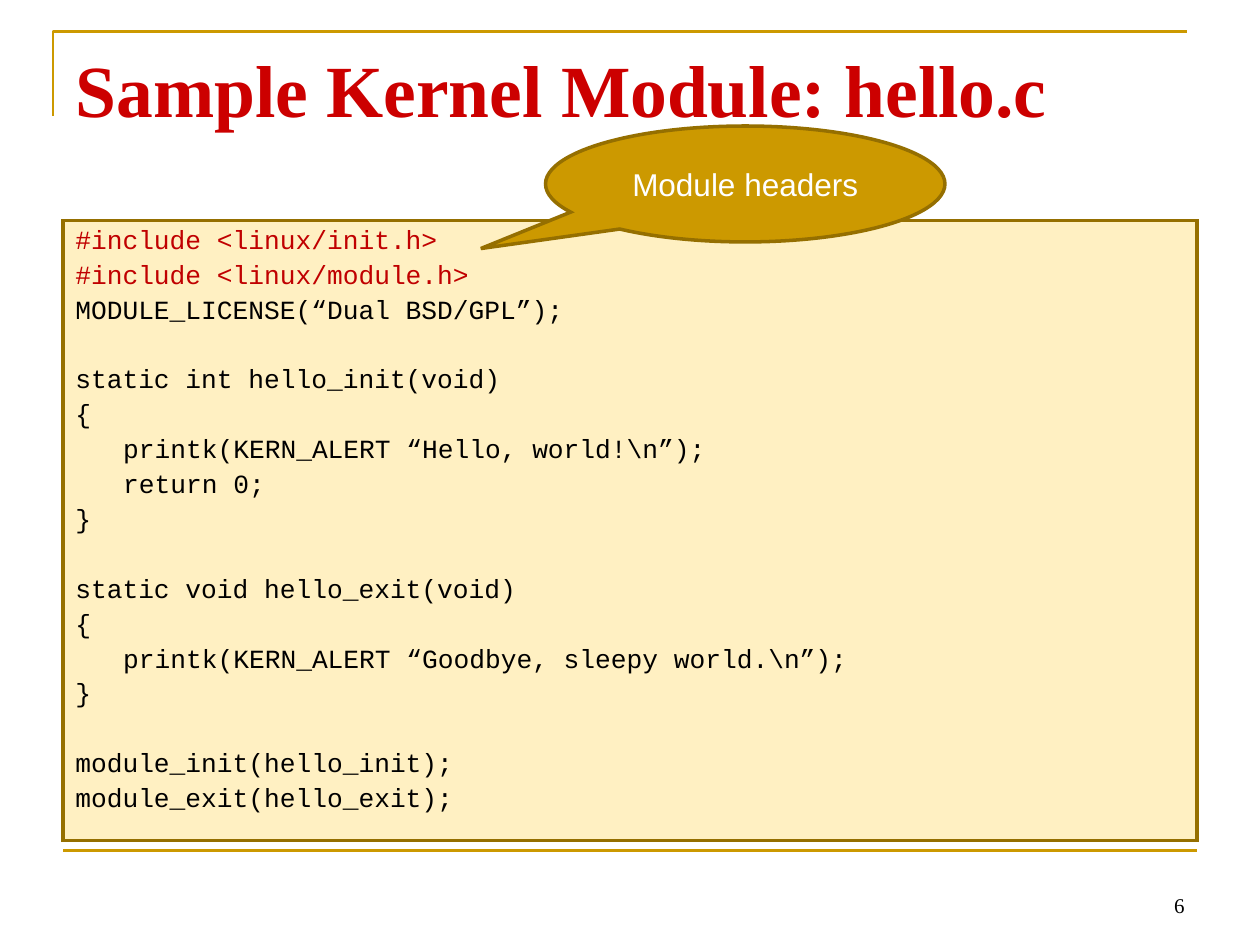
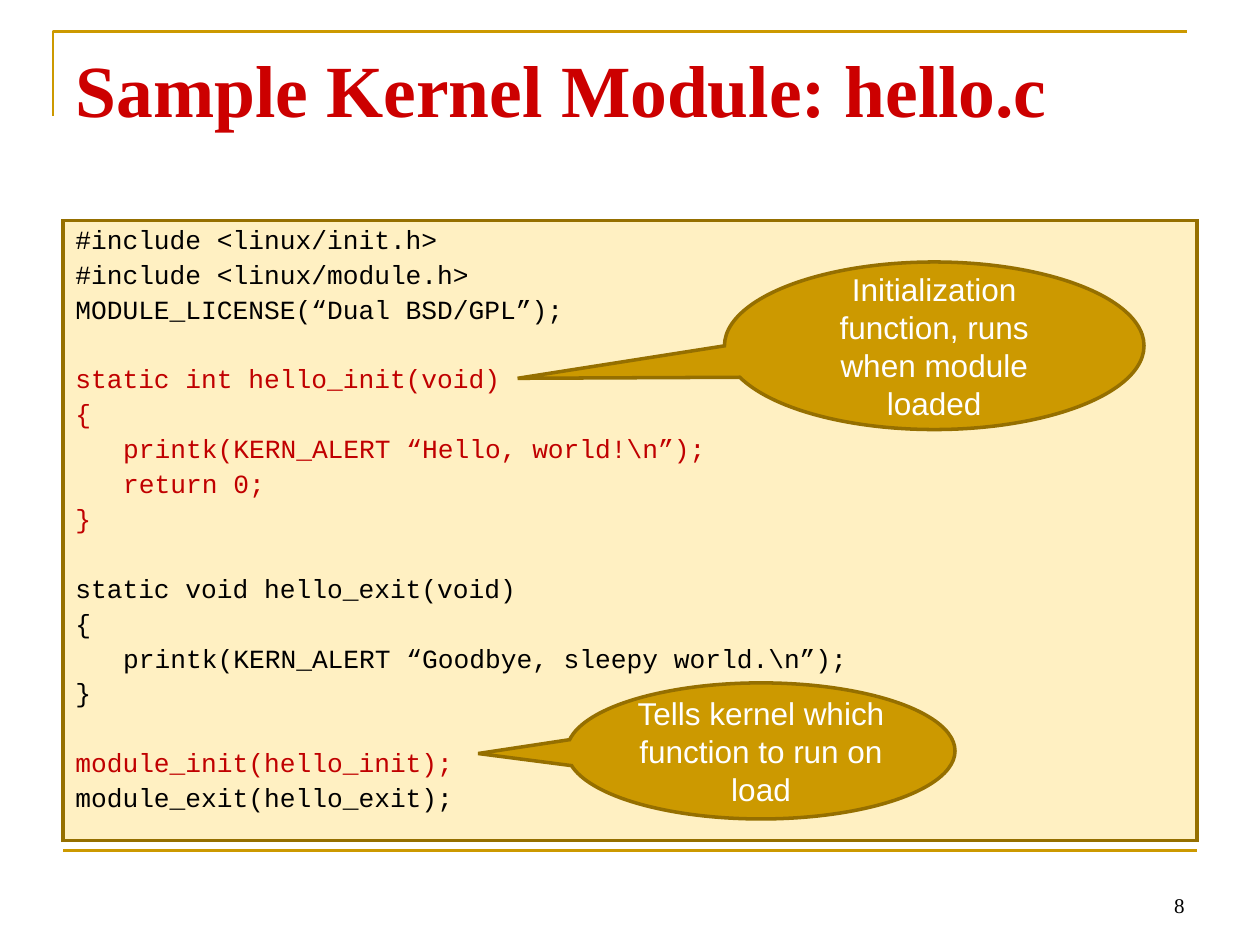
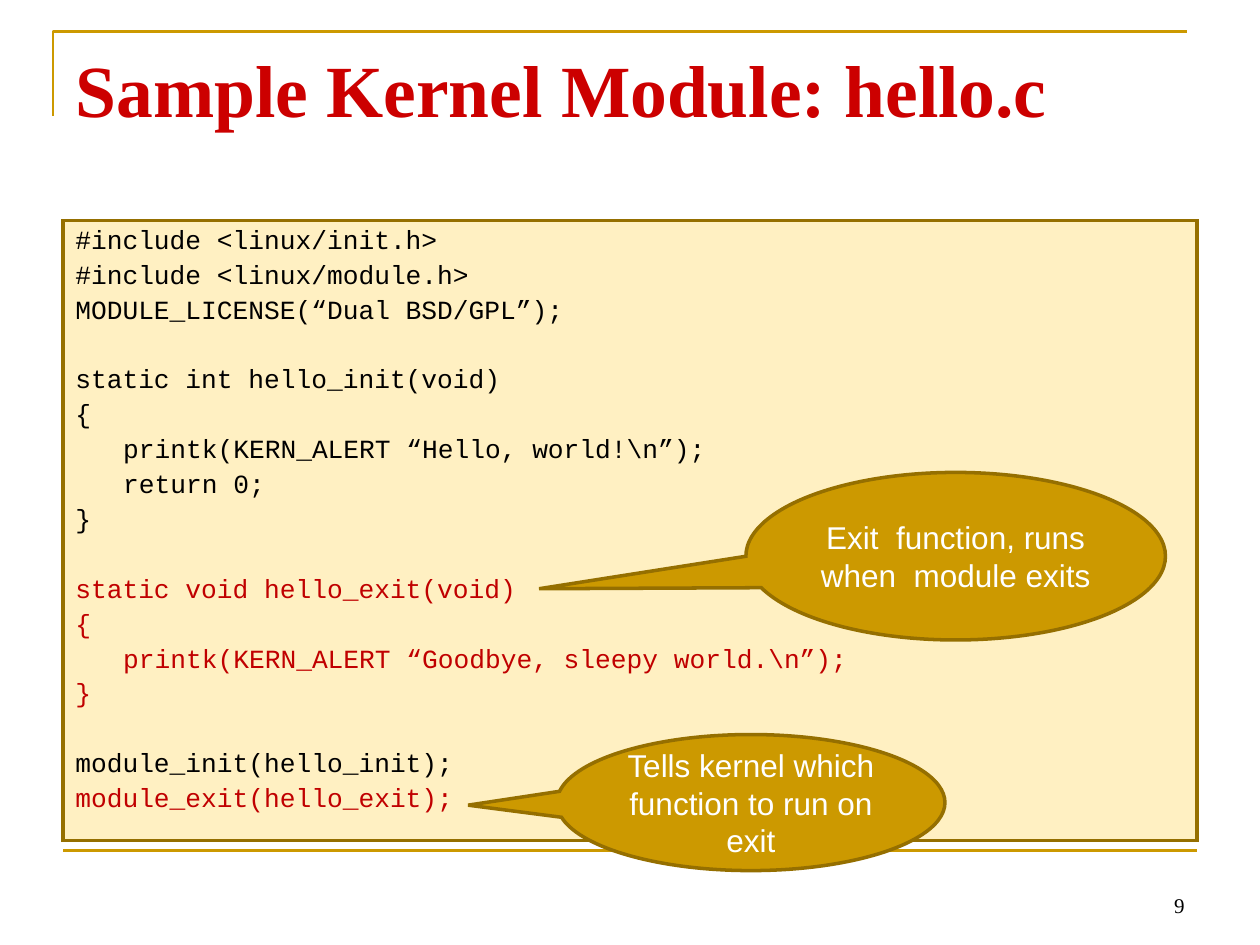
from pptx import Presentation
from pptx.dml.color import RGBColor
from pptx.enum import shapes, text
from pptx.oxml.ns import qn
from pptx.util import Inches, Pt
from lxml import etree

COLORS = {
    "gold": "CC9900",
    "edge": "956F00",
    "cream": "FFF0C2",
    "title": "CC0000",
    "mark": "C00000",
    "black": "000000",
    "white": "FFFFFF",
}
TITLE = "Sample Kernel Module: hello.c"
TAB = 0.38

# Blocks named in SPACED are set apart from the one before by a gap.
BLOCKS = {
    "headers": ["#include <linux/init.h>", "#include <linux/module.h>"],
    "license": ["MODULE_LICENSE(“Dual BSD/GPL”);"],
    "init": [
        "static int hello_init(void)",
        "{",
        "\tprintk(KERN_ALERT “Hello, world!\\n”);",
        "\treturn 0;",
        "}",
    ],
    "exit": [
        "static void hello_exit(void)",
        "{",
        "\tprintk(KERN_ALERT “Goodbye, sleepy world.\\n”);",
        "}",
    ],
    "on load": ["module_init(hello_init);"],
    "on exit": ["module_exit(hello_exit);"],
}
SPACED = ("init", "exit", "on load")
LINE_GAP = 3.7
BLOCK_GAP = 23.7

# Width, height and tip of the callouts.
WIDE = (3.33, 1.33, -0.993, 0.194)
SMALL = (3.08, 1.08, -0.729, 0.019)
SLIDES = [
    (6, ["headers"], [
        ("Module headers", 4.33, 1, (3.17, 0.92, -0.662, 0.557)),
    ]),
    (8, ["init", "on load"], [
        ("Initialization function, runs when module loaded", 5.75, 2.08, WIDE),
        ("Tells kernel which function to run on load", 4.5, 5.42, SMALL),
    ]),
    (9, ["exit", "on exit"], [
        ("Exit  function, runs when  module exits", 5.92, 3.75, WIDE),
        ("Tells kernel which function to run on exit", 4.42, 5.83, SMALL),
    ]),
]


def rgb(name):
    return RGBColor.from_string(COLORS[name])


def box(*sizes):
    return [Inches(size) for size in sizes]


def style(para, font, size, color, bold=False):
    for run in para.runs:
        run.font.name = font
        run.font.size = Pt(size)
        run.font.bold = bold
        run.font.color.rgb = rgb(color)


def paint(shape, fill):
    """Give a shape its fill and a sharp-cornered edge."""
    shape.shadow.inherit = False
    shape.fill.solid()
    shape.fill.fore_color.rgb = rgb(fill)
    shape.line.color.rgb = rgb("edge")
    shape.line.width = Pt(2)
    line = shape._element.spPr.find(qn("a:ln"))
    etree.SubElement(line, qn("a:miter")).set("lim", "800000")


def add_rules(slide):
    """Draw the corner bracket and the line above the footer."""
    path = slide.shapes.build_freeform(*box(0.42, 0.92))
    path.add_line_segments([box(0.42, 0.25), box(9.42, 0.25)], close=False)
    corner = path.convert_to_shape()
    corner.shadow.inherit = False
    corner.fill.background()

    base = slide.shapes.add_connector(
        shapes.MSO_CONNECTOR.STRAIGHT, *box(0.5, 6.75, 9.5, 6.75))
    etree.SubElement(base._element.spPr, qn("a:effectLst"))
    for rule in (corner, base):
        rule.line.color.rgb = rgb("gold")
        rule.line.width = Pt(1.5)


def add_title(slide):
    title = slide.shapes.title
    title.left, title.top, title.width, title.height = box(0.5, 0.3, 9, 1.25)
    frame = title.text_frame
    frame.text = TITLE
    frame.auto_size = text.MSO_AUTO_SIZE.NONE
    frame.vertical_anchor = text.MSO_ANCHOR.TOP
    para = frame.paragraphs[0]
    para.alignment = text.PP_ALIGN.LEFT
    style(para, "Times New Roman", 42, "title", bold=True)


def add_panel(slide):
    panel = slide.shapes.add_shape(
        shapes.MSO_SHAPE.RECTANGLE, *box(0.5, 1.75, 9, 4.92))
    paint(panel, "cream")


def add_code(slide, marked):
    frame = slide.shapes.add_textbox(*box(0.5, 1.75, 9, 4.95)).text_frame
    frame.word_wrap = True
    para = frame.paragraphs[0]
    for name, lines in BLOCKS.items():
        for row, line in enumerate(lines):
            if para.text:
                para = frame.add_paragraph()
            para.text = line.lstrip("\t")
            para.line_spacing = 0.9
            gap = BLOCK_GAP if row == 0 and name in SPACED else LINE_GAP
            para.space_before = Pt(gap)
            props = para._p.get_or_add_pPr()
            hang = 0 if line.startswith("\t") else -Inches(TAB)
            props.set("marL", str(Inches(TAB)))
            props.set("indent", str(hang))
            style(para, "Courier New", 15, "mark" if name in marked else "black")


def add_number(slide, number):
    frame = slide.shapes.add_textbox(*box(7.17, 6.83, 2.33, 0.5)).text_frame
    frame.word_wrap = True
    frame.text = str(number)
    frame.vertical_anchor = text.MSO_ANCHOR.BOTTOM
    para = frame.paragraphs[0]
    para.alignment = text.PP_ALIGN.RIGHT
    style(para, "Times New Roman", 12, "black")


def add_callout(slide, words, left, top, form):
    width, height, tip_x, tip_y = form
    callout = slide.shapes.add_shape(
        shapes.MSO_SHAPE.OVAL_CALLOUT, *box(left, top, width, height))
    callout.adjustments[0] = tip_x
    callout.adjustments[1] = tip_y
    paint(callout, "gold")
    frame = callout.text_frame
    frame.text = words
    frame.word_wrap = True
    frame.vertical_anchor = text.MSO_ANCHOR.MIDDLE
    para = frame.paragraphs[0]
    para.alignment = text.PP_ALIGN.CENTER
    style(para, "Arial", 18, "white")


def main():
    deck = Presentation()
    deck.slide_width, deck.slide_height = box(10, 7.5)
    layout = deck.slide_layouts.get_by_name("Title Only")
    for number, marked, callouts in SLIDES:
        slide = deck.slides.add_slide(layout)
        add_rules(slide)
        add_panel(slide)
        add_title(slide)
        add_code(slide, marked)
        add_number(slide, number)
        for callout in callouts:
            add_callout(slide, *callout)
    deck.save("out.pptx")


if __name__ == "__main__":
    main()
